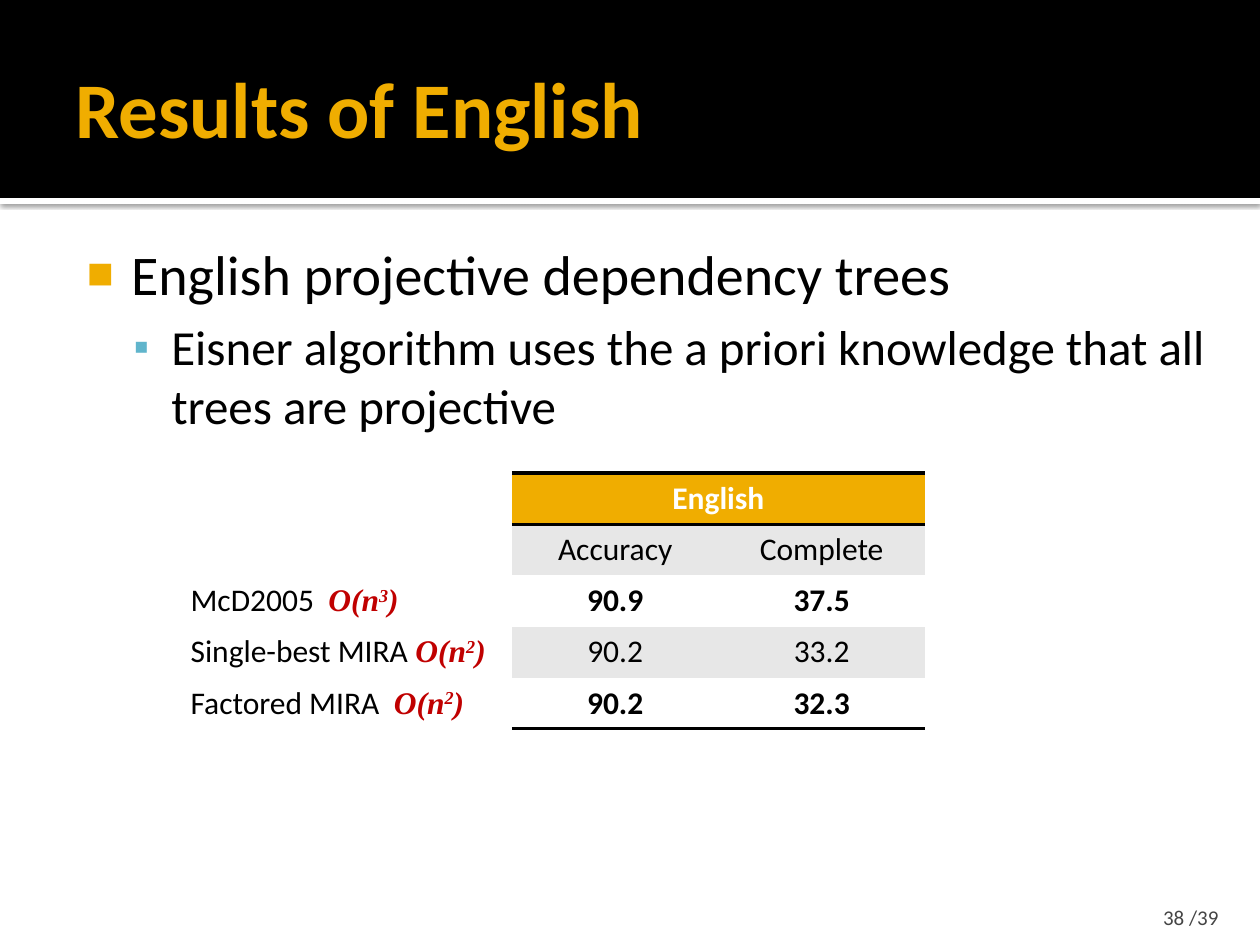
from lxml import etree
from pptx import Presentation
from pptx import util as u
from pptx.dml.color import RGBColor
from pptx.enum import shapes, text
from pptx.oxml import ns

SCALE = 914400 / 126
COLORS = {
    "black": "000000", "white": "FFFFFF", "gold": "F0AD00", "blue": "60B5CC",
    "band": "E7E7E7", "red": "C00000", "gray": "454545",
}
PLAIN_TABLE = "{2D5ABB26-0587-4C30-8999-92F81FD0307C}"


def px(length):
    return u.Emu(round(length * SCALE))


def color(name):
    return RGBColor.from_string(COLORS[name])


def add_xml(parent, tag, **attributes):
    return etree.SubElement(parent, ns.qn(tag), attributes)


class SlideBuilder:
    font = "Calibri"
    math_font = "Times New Roman"

    def __init__(self, page):
        self.page = page

    def place(self, item, left, top, width, height):
        item.left, item.top, item.width, item.height = map(px, (left, top, width, height))

    def frame(self, box, insets, anchor):
        frame = box.text_frame
        frame.word_wrap = True
        frame.auto_size = text.MSO_AUTO_SIZE.NONE
        frame.vertical_anchor = anchor
        (frame.margin_left, frame.margin_top,
         frame.margin_right, frame.margin_bottom) = map(u.Inches, insets)
        return frame

    def span(self, para, words, size, tint="black", bold=False, italic=False, font=None, raised=False):
        span = para.add_run()
        span.text = words
        span.font.name = font or self.font
        span.font.size = u.Pt(size)
        span.font.bold, span.font.italic = bold, italic
        span.font.color.rgb = color(tint)
        if raised:
            span.font._element.set("baseline", "30000")

    def band(self, left, top, width, height, fill, shadow=False):
        band = self.page.shapes.add_shape(
            shapes.MSO_SHAPE.RECTANGLE, *map(px, (left, top, width, height)))
        band.fill.solid()
        band.fill.fore_color.rgb = color(fill)
        band.line.fill.background()
        band.shadow.inherit = False
        if shadow:
            effects = band._element.spPr.find(ns.qn("a:effectLst"))
            outer = add_xml(effects, "a:outerShdw", blurRad=str(u.Pt(2.5)),
                            dist=str(u.Pt(0.8)), dir="5400000", rotWithShape="0")
            add_xml(add_xml(outer, "a:srgbClr", val=COLORS["black"]), "a:alpha", val="60000")
        self.page.shapes._spTree.insert(2, band._element)

    def title(self, words, *place):
        box = self.page.shapes.title
        self.place(box, *place)
        para = self.frame(box, (0.1, 0.05, 0.05, 0.05), text.MSO_ANCHOR.MIDDLE).paragraphs[0]
        para.alignment = text.PP_ALIGN.LEFT
        self.span(para, words, 45, "gold", bold=True)

    def bullets(self, items, *place):
        box = self.page.placeholders[1]
        self.place(box, *place)
        frame = self.frame(box, (0.06, 0.1, 0.1, 0.05), text.MSO_ANCHOR.TOP)
        for level, (words, size, before, margin, indent, mark, tint, percent) in enumerate(items):
            para = frame.add_paragraph() if level else frame.paragraphs[0]
            para.level = level
            para.space_before = u.Pt(before)
            props = para._p.get_or_add_pPr()
            props.set("marL", str(u.Inches(margin)))
            props.set("indent", str(u.Inches(indent)))
            add_xml(add_xml(props, "a:buClr"), "a:srgbClr", val=COLORS[tint])
            add_xml(props, "a:buSzPct", val=str(percent * 1000))
            add_xml(props, "a:buChar", char=mark)
            self.span(para, words, size)

    def label(self, words, size, tint, *place):
        box = self.page.shapes.add_textbox(*map(px, place))
        para = self.frame(box, (0.1, 0.05, 0.1, 0), text.MSO_ANCHOR.BOTTOM).paragraphs[0]
        para.alignment = text.PP_ALIGN.RIGHT
        self.span(para, words, size, tint)

    def table(self, rows, columns, left, top, width, height):
        table = self.page.shapes.add_table(
            rows, columns, *map(px, (left, top, width, height))).table
        table.first_row = table.horz_banding = False
        table._tbl.tblPr.find(ns.qn("a:tableStyleId")).text = PLAIN_TABLE
        return table

    def cell(self, cell, words, fill, tint="black", bold=False, edges=()):
        para = cell.text_frame.paragraphs[0]
        para.alignment = text.PP_ALIGN.CENTER
        if words:
            self.span(para, words, 18, tint, bold)
        props = cell._tc.get_or_add_tcPr()
        for edge in edges:
            line = add_xml(props, edge, w=str(u.Pt(2)))
            add_xml(add_xml(line, "a:solidFill"), "a:srgbClr", val=COLORS["black"])
        cell.fill.solid()
        cell.fill.fore_color.rgb = color(fill)

    def scores(self, header, rows, *place):
        table = self.table(len(rows) + 1, 2, *place)
        for column, words in enumerate((header, "")):
            self.cell(table.cell(0, column), words, "gold", "white", True, ("a:lnT", "a:lnB"))
        table.cell(0, 0).merge(table.cell(0, 1))
        for index, (bold, *values) in enumerate(rows, 1):
            edges = ("a:lnB",) if index == len(rows) else ()
            for column, value in enumerate(values):
                self.cell(table.cell(index, column), value,
                          "band" if index % 2 else "white", bold=bold, edges=edges)

    def systems(self, first, names, *place):
        table = self.table(first + len(names), 1, *place)
        for index, (name, power) in enumerate(names, first):
            para = table.cell(index, 0).text_frame.paragraphs[0]
            self.span(para, name, 18)
            for words in ("O(n", power, ")"):
                self.span(para, words, 18, "red", True, True, self.math_font, words == power)


deck = Presentation()
deck.slide_width, deck.slide_height = px(1260), px(945)
slide = SlideBuilder(deck.slides.add_slide(deck.slide_layouts[1]))

slide.band(0, 0, 1260, 198, "black")
slide.band(0, 198, 1260, 6, "white", shadow=True)
slide.title("Results of English", 63, 21, 1134, 173)
slide.bullets([
    ("English projective dependency trees", 32, 0, 0.48, -0.35, "■", "gold", 80),
    ("Eisner algorithm uses the a priori knowledge that all trees are projective",
     28, 5.6, 0.8, -0.3, "▪", "blue", 90),
], 63, 227, 1158, 655)
slide.scores("English", [
    (False, "Accuracy", "Complete"),
    (True, "90.9", "37.5"),
    (False, "90.2", "33.2"),
    (True, "90.2", "32.3"),
], 512, 473, 413, 256)
slide.systems(2, [
    ("McD2005  ", "3"),
    ("Single-best MIRA ", "2"),
    ("Factored MIRA  ", "2"),
], 178, 473, 325, 256)
slide.label("38 /39", 12, "gray", 1130, 892, 101, 38)

deck.save("out.pptx")
